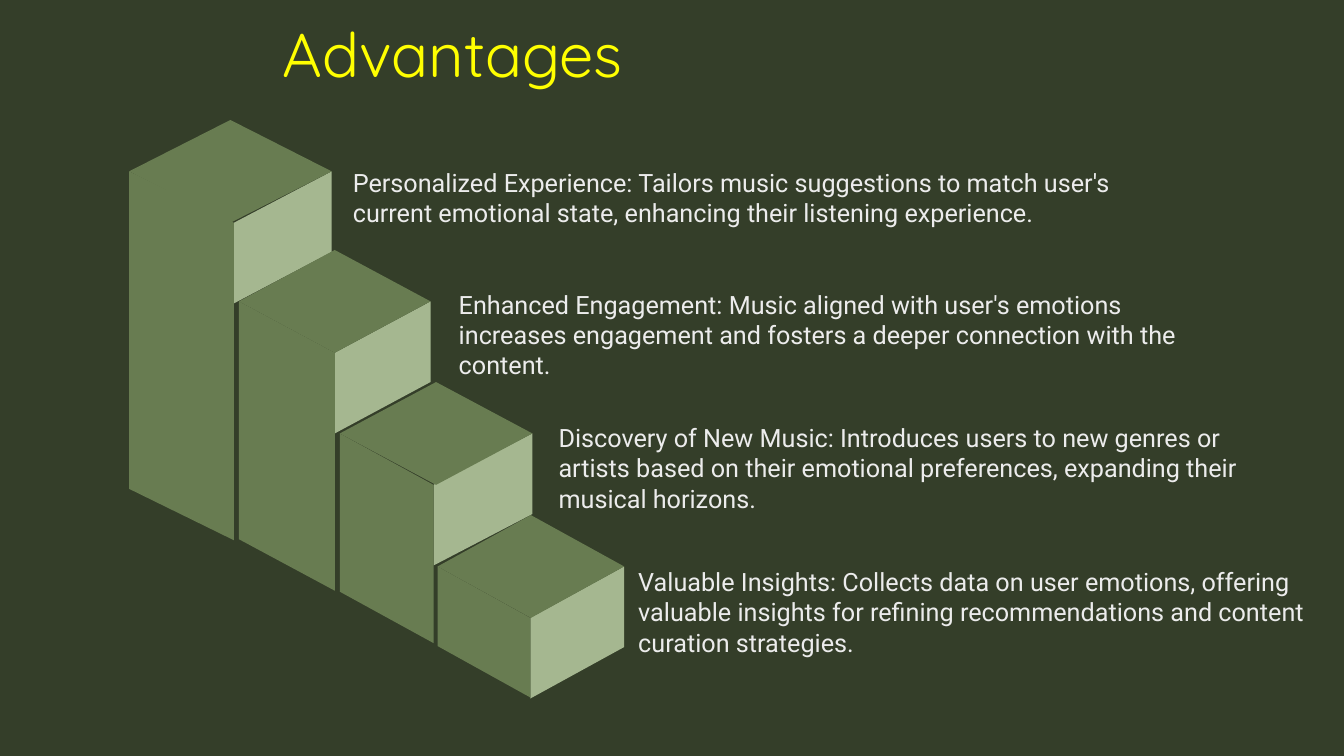
from dataclasses import dataclass

from pptx import Presentation
from pptx.dml.color import RGBColor
from pptx.enum.text import MSO_ANCHOR
from pptx.util import Inches, Pt


@dataclass(frozen=True)
class Theme:
    background: RGBColor = RGBColor(0x34, 0x3E, 0x29)
    shaded: RGBColor = RGBColor(0x68, 0x7C, 0x51)
    lit: RGBColor = RGBColor(0xA5, 0xB7, 0x90)
    title: RGBColor = RGBColor(0xFF, 0xFF, 0x00)
    body: RGBColor = RGBColor(0xEC, 0xEC, 0xEC)
    title_font: str = "Quicksand"
    body_font: str = "Roboto"
    title_size: int = 44
    body_size: int = 18


@dataclass(frozen=True)
class Step:
    """A block of the staircase and its text, in grid columns and rows."""
    left: float
    front: float
    right: float
    apex: float
    height: float
    text_box: tuple
    text: str


THEME = Theme()
WIDTH, HEIGHT = Inches(13.33), Inches(7.5)
COLUMN, ROW = WIDTH / 13.33, HEIGHT / 7.5
SLOPE = 0.51       # rows between the corners of a slanted edge
LIT_HEIGHT = 0.8   # rows of the light side face

TITLE_BOX = (2.8, 0.15, 3.63, 0.74)
STEPS = [
    Step(1.28, 2.32, 3.29, 1.19, 3.15, (3.5, 1.66, 7.96, 0.7),
         "Personalized Experience: Tailors music suggestions to match user's "
         "current emotional state, enhancing their listening experience."),
    Step(2.37, 3.32, 4.27, 2.48, 2.36, (4.55, 2.87, 7.6, 0.91),
         "Enhanced Engagement: Music aligned with user's emotions increases "
         "engagement and fosters a deeper connection with the content."),
    Step(3.37, 4.3, 5.28, 3.79, 1.57, (5.54, 4.19, 6.97, 0.91),
         "Discovery of New Music: Introduces users to new genres or artists "
         "based on their emotional preferences, expanding their musical horizons."),
    Step(4.34, 5.26, 6.19, 5.11, 0.79, (6.33, 5.62, 6.71, 0.91),
         "Valuable Insights: Collects data on user emotions, offering valuable "
         "insights for refining recommendations and content curation strategies."),
]


def add_text(slide, box, text, font_name, size, color, anchor=MSO_ANCHOR.TOP):
    left, top, width, height = box
    shape = slide.shapes.add_textbox(round(left * COLUMN), round(top * ROW),
                                     round(width * COLUMN), round(height * ROW))
    frame = shape.text_frame
    frame.word_wrap = True
    frame.vertical_anchor = anchor
    frame.margin_left = frame.margin_right = 0
    frame.margin_top = frame.margin_bottom = 0
    paragraph = frame.paragraphs[0]
    paragraph.text = text
    paragraph.font.name = font_name
    paragraph.font.size = Pt(size)
    paragraph.font.color.rgb = color


def add_face(slide, corners, color):
    points = [(round(x * COLUMN), round(y * ROW)) for x, y in corners]
    builder = slide.shapes.build_freeform(*points[0], scale=1.0)
    builder.add_line_segments(points[1:], close=True)
    shape = builder.convert_to_shape()
    shape.shadow.inherit = False
    shape.fill.solid()
    shape.fill.fore_color.rgb = color
    shape.line.fill.background()


def add_side(slide, start, end, height, color):
    """Draw an upright face below the edge from start to end."""
    (x1, y1), (x2, y2) = start, end
    add_face(slide, [start, end, (x2, y2 + height), (x1, y1 + height)], color)


def add_block(slide, step):
    shoulder = step.apex + SLOPE
    front_y = shoulder + SLOPE
    middle = (step.left + step.right) / 2
    left_corner = (step.left, shoulder)
    right_corner = (step.right, shoulder)
    front_corner = (step.front, front_y)
    add_side(slide, front_corner, right_corner, LIT_HEIGHT, THEME.lit)
    add_side(slide, left_corner, front_corner, step.height, THEME.shaded)
    add_face(slide, [(middle, step.apex), right_corner,
                     (middle, front_y), left_corner], THEME.shaded)


def add_staircase(slide, steps):
    for step in steps:
        add_block(slide, step)
        add_text(slide, step.text_box, step.text,
                 THEME.body_font, THEME.body_size, THEME.body)


def main():
    presentation = Presentation()
    presentation.slide_width, presentation.slide_height = WIDTH, HEIGHT
    slide = presentation.slides.add_slide(presentation.slide_layouts[6])
    slide.background.fill.solid()
    slide.background.fill.fore_color.rgb = THEME.background
    add_text(slide, TITLE_BOX, "Advantages", THEME.title_font,
             THEME.title_size, THEME.title, MSO_ANCHOR.MIDDLE)
    add_staircase(slide, STEPS)
    presentation.save("out.pptx")


if __name__ == "__main__":
    main()
